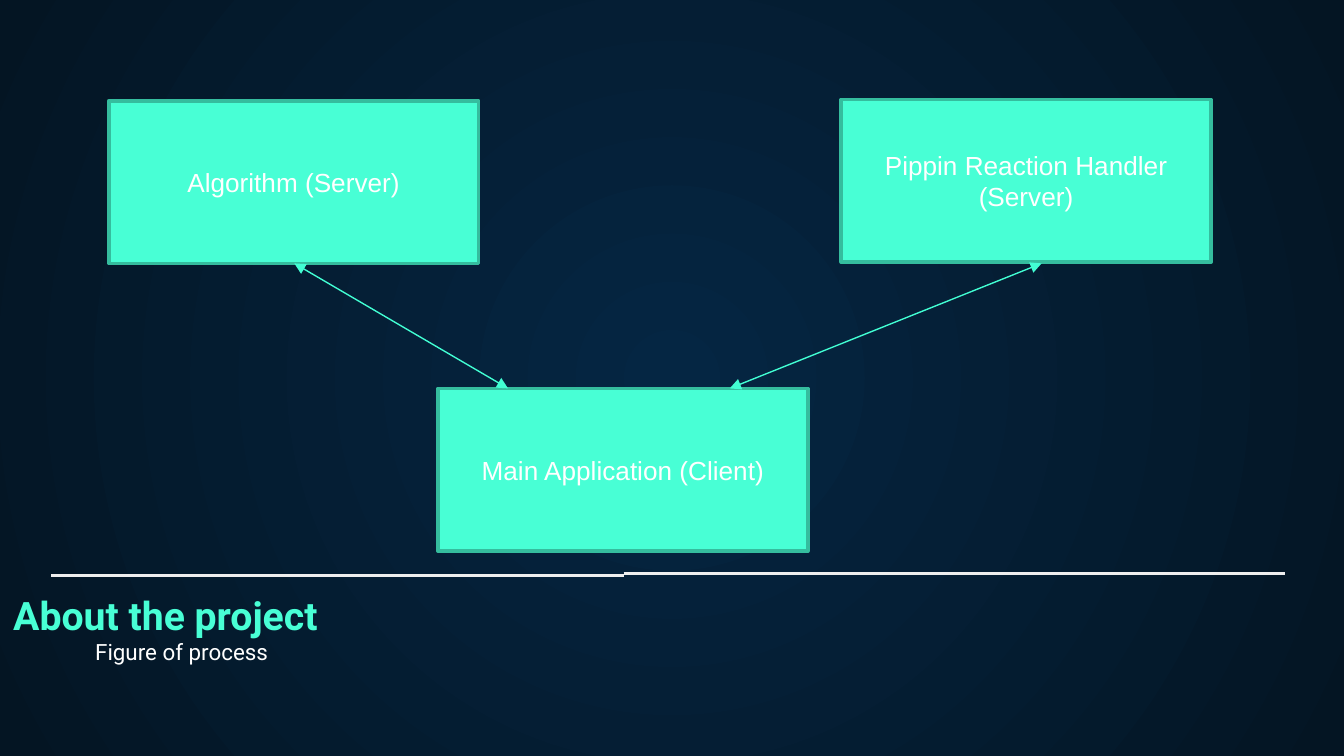
from lxml import etree
from pptx import Presentation
from pptx.dml.color import RGBColor
from pptx.enum import shapes, text
from pptx.oxml import ns
from pptx.util import Inches, Pt

NAVY = RGBColor(0x05, 0x26, 0x43)
MIDNIGHT = RGBColor(0x04, 0x15, 0x23)
MINT = RGBColor(0x48, 0xFF, 0xD5)
MINT_ARROW = RGBColor(0x42, 0xFE, 0xD3)
MINT_BORDER = RGBColor(0x35, 0xBD, 0x9E)
RULE_GRAY = RGBColor(0xEE, 0xEE, 0xEE)
WHITE = RGBColor(0xFF, 0xFF, 0xFF)

BOX_WIDTH, BOX_HEIGHT = 2.75, 1.21


def set_radial_background(slide):
    fill = slide.background.fill
    fill.gradient()
    for stop, color, position in zip(fill.gradient_stops, (NAVY, MIDNIGHT), (0, 1)):
        stop.color.rgb = color
        stop.position = position
    gradient = slide.element.xpath(".//p:bg//a:gradFill")[0]
    for linear in gradient.findall(ns.qn("a:lin")):
        gradient.remove(linear)
    circle = etree.SubElement(gradient, ns.qn("a:path"), path="circle")
    center = dict.fromkeys("ltrb", "50000")
    etree.SubElement(circle, ns.qn("a:fillToRect"), center)


def format_run(paragraph, font_name, size, color, bold=False):
    font = paragraph.runs[0].font
    font.name = font_name
    font.size = Pt(size)
    font.color.rgb = color
    font.bold = bold


def add_text(slide, wording, left, top, width, height, size, color,
             bold=False, anchor=text.MSO_ANCHOR.TOP):
    text_box = slide.shapes.add_textbox(
        Inches(left), Inches(top), Inches(width), Inches(height))
    frame = text_box.text_frame
    frame.word_wrap = True
    frame.vertical_anchor = anchor
    frame.margin_left = frame.margin_right = Inches(0.1)
    frame.margin_top = frame.margin_bottom = Inches(0.1)
    frame.text = wording
    paragraph = frame.paragraphs[0]
    format_run(paragraph, "Roboto", size, color, bold)
    return paragraph


def add_process_box(slide, label, left, top):
    box = slide.shapes.add_shape(
        shapes.MSO_SHAPE.FLOWCHART_PROCESS,
        Inches(left), Inches(top), Inches(BOX_WIDTH), Inches(BOX_HEIGHT))
    box.shadow.inherit = False
    box.fill.solid()
    box.fill.fore_color.rgb = MINT
    box.line.color.rgb = MINT_BORDER
    box.line.width = Pt(2)
    frame = box.text_frame
    frame.word_wrap = True
    frame.vertical_anchor = text.MSO_ANCHOR.MIDDLE
    frame.text = label
    paragraph = frame.paragraphs[0]
    paragraph.alignment = text.PP_ALIGN.CENTER
    format_run(paragraph, "Arial", 14, WHITE)


def add_line(slide, start, end, color, width):
    line = slide.shapes.add_connector(
        shapes.MSO_CONNECTOR.STRAIGHT, *map(Inches, start + end))
    line.line.color.rgb = color
    line.line.width = Pt(width)
    etree.SubElement(line.element.spPr, ns.qn("a:effectLst"))
    return line


def add_two_way_arrow(slide, start, end):
    arrow = add_line(slide, start, end, MINT_ARROW, 0.75)
    outline = arrow.element.spPr.find(ns.qn("a:ln"))
    for tag in ("a:headEnd", "a:tailEnd"):
        etree.SubElement(outline, ns.qn(tag), type="triangle")


def main():
    presentation = Presentation()
    presentation.slide_width = Inches(10)
    presentation.slide_height = Inches(10) * 9 // 16
    slide = presentation.slides.add_slide(presentation.slide_layouts[6])
    set_radial_background(slide)

    add_line(slide, (0.38, 4.28), (4.64, 4.28), RULE_GRAY, 1.5)
    add_line(slide, (4.64, 4.27), (9.56, 4.27), RULE_GRAY, 1.5)

    add_text(slide, "About the project", 0, 4.27, 4.37, 0.58, 21, MINT,
             bold=True, anchor=text.MSO_ANCHOR.BOTTOM)
    caption = add_text(slide, "Figure of process", 0.61, 4.62, 9.39, 0.7, 12, WHITE)
    caption.line_spacing = 1.15
    caption.space_after = Pt(16)

    add_process_box(slide, "Main Application (Client)", 3.26, 2.89)
    add_process_box(slide, "Algorithm (Server)", 0.81, 0.75)
    add_process_box(slide, "Pippin Reaction Handler (Server)", 6.26, 0.74)

    add_two_way_arrow(slide, (2.19, 1.96), (3.78, 2.89))
    add_two_way_arrow(slide, (5.43, 2.89), (7.75, 1.96))

    presentation.save("out.pptx")


if __name__ == "__main__":
    main()
